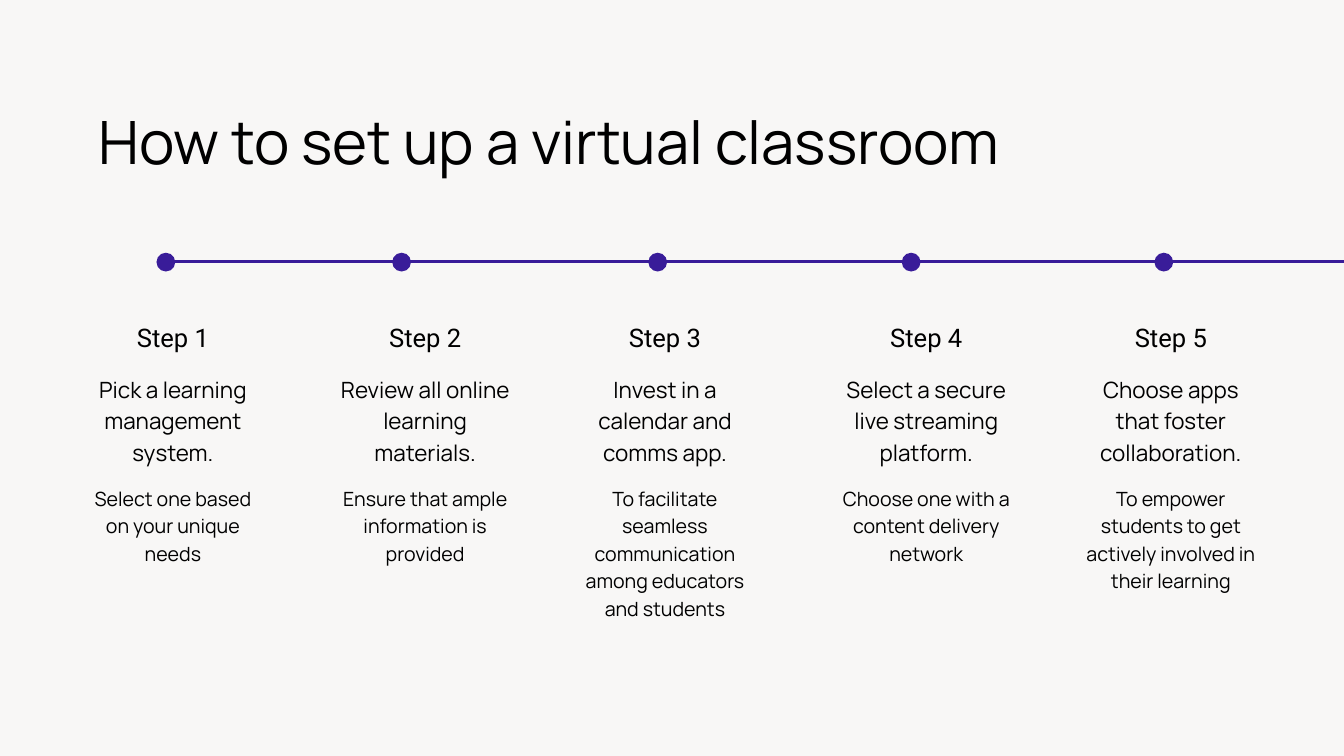
from pptx import Presentation
from pptx.dml.color import RGBColor
from pptx.enum.shapes import MSO_CONNECTOR, MSO_SHAPE
from pptx.enum.text import MSO_ANCHOR, MSO_AUTO_SIZE, PP_ALIGN
from pptx.oxml.ns import qn
from pptx.util import Cm, Pt
from lxml.etree import SubElement

BACKGROUND, ACCENT, INK = "F8F7F6", "391C99", "000000"
TITLE = "How to set up a virtual classroom"

STEPS = [
    dict(dot=6.27, left=3.12, width=6.83, detail_height=3.02,
         action="Pick a learning management system.",
         detail="Select one based on your unique needs"),
    dict(dot=15.18, left=12.73, width=6.68, detail_height=3.02,
         action="Review all online learning materials.",
         detail="Ensure that ample information is provided"),
    dict(dot=24.86, left=21.72, width=6.83, detail_height=5.05,
         action="Invest in a calendar and comms app.",
         detail="To facilitate seamless communication among educators and students"),
    dict(dot=34.44, left=31.29, width=7.44, detail_height=3.02,
         action="Select a secure live streaming platform.",
         detail="Choose one with a content delivery network"),
    dict(dot=43.99, left=40.84, width=6.83, detail_height=4.04,
         action="Choose apps that foster collaboration.",
         detail="To empower students to get actively involved in their learning"),
]
LINE_Y, LINE_END = 9.88, 53.59
DOT_Y, DOT_SIZE = 9.91, 0.71


def color(hex_value):
    return RGBColor.from_string(hex_value)


def write(shape, text, *, size, spacing, font="Manrope", align=PP_ALIGN.CENTER):
    frame = shape.text_frame
    frame.word_wrap = True
    frame.auto_size = MSO_AUTO_SIZE.SHAPE_TO_FIT_TEXT
    frame.vertical_anchor = MSO_ANCHOR.TOP
    frame.margin_left = frame.margin_right = frame.margin_top = frame.margin_bottom = 0
    paragraph = frame.paragraphs[0]
    paragraph.alignment = align
    paragraph.line_spacing = Pt(spacing)
    run = paragraph.add_run()
    run.text = text
    run.font.name = font
    run.font.size = Pt(size)
    run.font.color.rgb = color(INK)


def add_timeline(slide):
    line = slide.shapes.add_connector(
        MSO_CONNECTOR.STRAIGHT, Cm(STEPS[0]["dot"]), Cm(LINE_Y), Cm(LINE_END), Cm(LINE_Y))
    line.line.color.rgb = color(ACCENT)
    line.line.width = Pt(3)
    SubElement(line._element.spPr, qn("a:effectLst"))
    for step in STEPS:
        dot = slide.shapes.add_shape(
            MSO_SHAPE.OVAL, Cm(step["dot"] - DOT_SIZE / 2), Cm(DOT_Y - DOT_SIZE / 2),
            Cm(DOT_SIZE), Cm(DOT_SIZE))
        dot.shadow.inherit = False
        dot.fill.solid()
        dot.fill.fore_color.rgb = color(ACCENT)
        dot.line.fill.background()


def add_step(slide, number, step):
    rows = [
        (f"Step {number}", 11.99, 1.27, dict(size=27.4, spacing=38.4, font="Roboto")),
        (step["action"], 14.05, 3.45, dict(size=24, spacing=33.6)),
        (step["detail"], 18.26, step["detail_height"], dict(size=21, spacing=29.4)),
    ]
    for text, top, height, style in rows:
        box = slide.shapes.add_textbox(
            Cm(step["left"]), Cm(top), Cm(step["width"]), Cm(height))
        write(box, text, **style)


def main():
    presentation = Presentation()
    presentation.slide_width, presentation.slide_height = Cm(50.8), Cm(28.58)
    slide = presentation.slides.add_slide(presentation.slide_layouts[5])
    slide.background.fill.solid()
    slide.background.fill.fore_color.rgb = color(BACKGROUND)

    title = slide.shapes.title
    title.left, title.top, title.width, title.height = Cm(3.73), Cm(3.96), Cm(43.33), Cm(2.69)
    write(title, TITLE, size=64, spacing=76.8, align=PP_ALIGN.LEFT)

    add_timeline(slide)
    for number, step in enumerate(STEPS, 1):
        add_step(slide, number, step)
    presentation.save("out.pptx")


if __name__ == "__main__":
    main()
